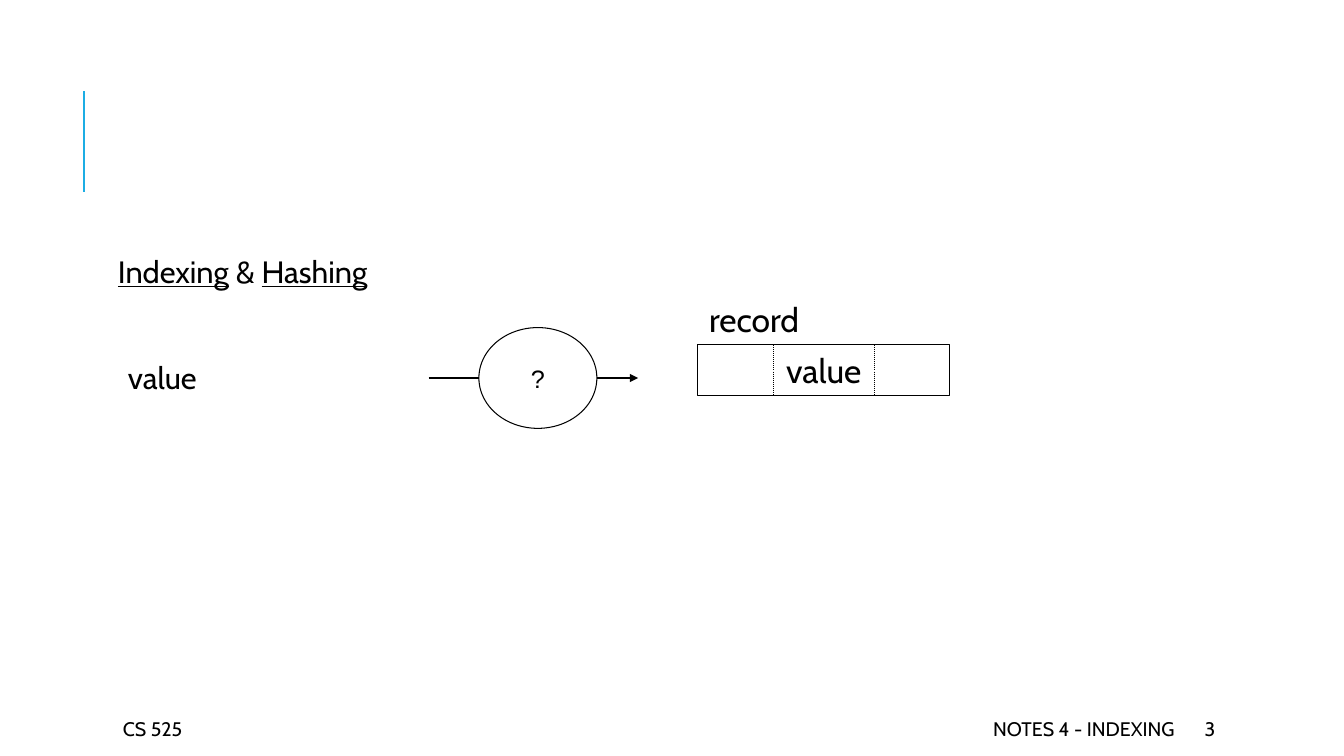
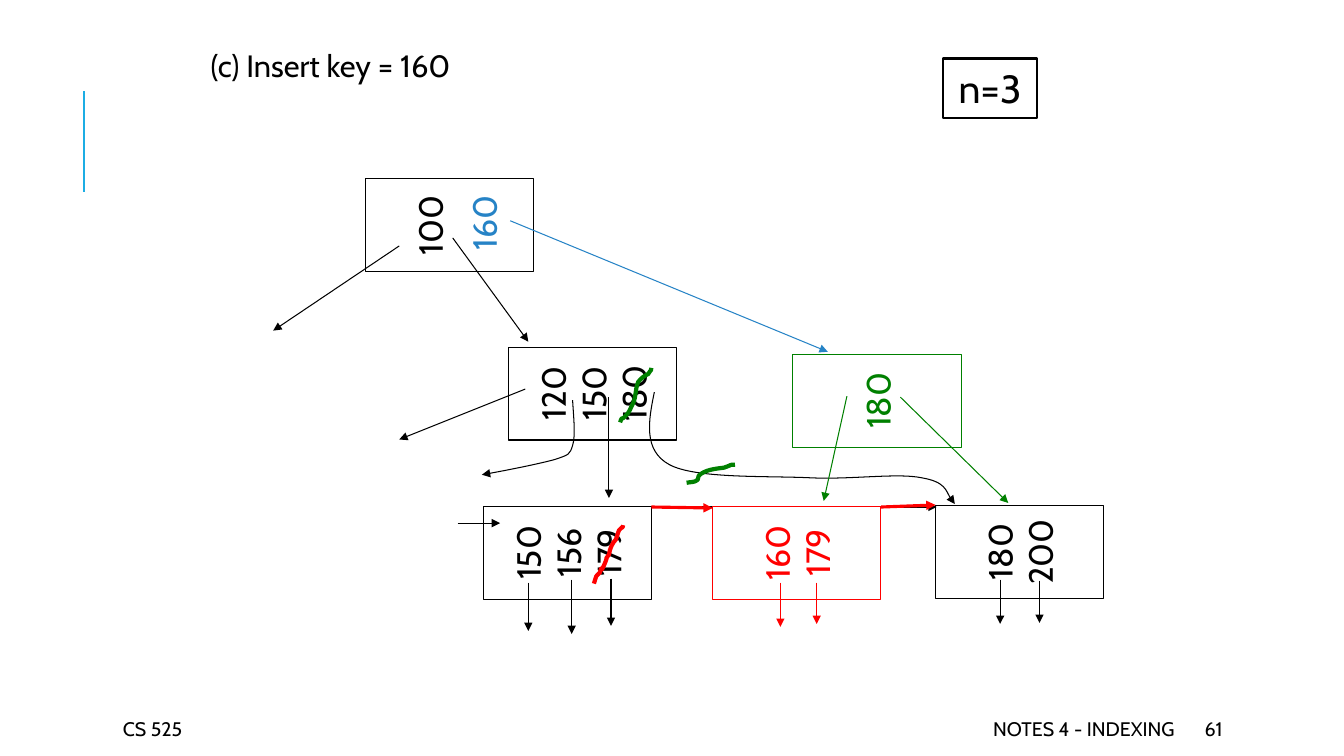
from dataclasses import dataclass

from pptx import Presentation
from pptx.dml.color import RGBColor
from pptx.enum.dml import MSO_LINE
from pptx.enum.shapes import MSO_CONNECTOR, MSO_SHAPE
from pptx.enum.text import MSO_ANCHOR, MSO_AUTO_SIZE, PP_ALIGN
from pptx.oxml.ns import qn
from pptx.oxml.xmlchemy import OxmlElement
from pptx.util import Emu, Pt

EMU_PER_PX = 9144
FONT = "Cabin"
BLACK, WHITE, ACCENT = "000000", "FFFFFF", "1CADE4"
BLUE, GREEN, RED = "2683C6", "008000", "FF0000"
TITLE_SIZE, KEY_SIZE, FOOTER_SIZE = 22, 24, 14
THIN, MEDIUM, THICK = 0.75, 2.25, 3
NODE_W, NODE_H = 92, 167


@dataclass
class Box:
    x: int
    y: int
    w: int
    h: int


@dataclass
class Node:
    x: int
    y: int
    keys: list[str]
    free_slots: int = 0


@dataclass
class Line:
    x1: int
    y1: int
    x2: int
    y2: int
    width: float = THIN
    arrow: bool = True
    dash: MSO_LINE | None = None


@dataclass
class Curve:
    points: list[tuple[int, int]]
    width: float = THICK
    arrow: bool = False


@dataclass
class Layer:
    color: str
    nodes: list[Node]
    lines: list[Line]
    curves: list[Curve]


def px(n: int) -> Emu:
    return Emu(n * EMU_PER_PX)


def rgb(value: str) -> RGBColor:
    return RGBColor.from_string(value)


def place(shape, box: Box) -> None:
    shape.left, shape.top = px(box.x), px(box.y)
    shape.width, shape.height = px(box.w), px(box.h)


def add_run(p, text: str, *, size: float = KEY_SIZE, color: str = BLACK,
            font: str = FONT, underline: bool = False) -> None:
    r = p.add_run()
    r.text = text
    r.font.size, r.font.name = Pt(size), font
    r.font.color.rgb = rgb(color)
    r.font.underline = underline


def write(tf, *texts: str, align=PP_ALIGN.CENTER, wrap: bool = False, **style) -> None:
    tf.word_wrap = wrap
    tf.vertical_anchor = MSO_ANCHOR.MIDDLE
    for i, text in enumerate(texts):
        p = tf.add_paragraph() if i else tf.paragraphs[0]
        p.alignment = align
        add_run(p, text, **style)


def add_label(s, box: Box, text: str, **style):
    sp = s.shapes.add_textbox(px(box.x), px(box.y), px(box.w), px(box.h))
    write(sp.text_frame, text, **style)
    return sp


def add_box(s, box: Box, *texts: str, kind=MSO_SHAPE.RECTANGLE, color: str = BLACK,
            width: float = THIN, **style):
    sp = s.shapes.add_shape(kind, px(box.x), px(box.y), px(box.w), px(box.h))
    sp.shadow.inherit = False
    sp.fill.solid()
    sp.fill.fore_color.rgb = rgb(WHITE)
    sp.line.color.rgb = rgb(color)
    sp.line.width = Pt(width)
    write(sp.text_frame, *texts, color=color, **style)
    return sp


def add_node(s, node: Node, color: str) -> None:
    sp = add_box(s, Box(node.x, node.y, NODE_W, NODE_H), *node.keys, color=color)
    sp.rotation = 270
    sp.text_frame.margin_bottom = px(5 + 40 * node.free_slots)


def style_line(shape, color: str, width: float, arrow: bool) -> None:
    shape.line.color.rgb = rgb(color)
    shape.line.width = Pt(width)
    if arrow:
        tail = OxmlElement("a:tailEnd")
        tail.set("type", "triangle")
        shape.element.spPr.find(qn("a:ln")).append(tail)


def add_line(s, line: Line, color: str = BLACK) -> None:
    c = s.shapes.add_connector(MSO_CONNECTOR.STRAIGHT, px(line.x1), px(line.y1),
                               px(line.x2), px(line.y2))
    if line.dash is not None:
        c.line.dash_style = line.dash
    style_line(c, color, line.width, line.arrow)
    c.element.spPr.append(OxmlElement("a:effectLst"))


def bend(shape) -> None:
    outline = next(shape.element.iter(qn("a:path")))
    segments = outline.findall(qn("a:lnTo"))
    for i in range(0, len(segments), 3):
        cubic = OxmlElement("a:cubicBezTo")
        for segment in segments[i:i + 3]:
            cubic.append(segment[0])
            outline.remove(segment)
        outline.append(cubic)


def add_curve(s, curve: Curve, color: str) -> None:
    x, y = curve.points[0]
    builder = s.shapes.build_freeform(x, y, scale=EMU_PER_PX)
    builder.add_line_segments(curve.points[1:], close=False)
    sp = builder.convert_to_shape()
    bend(sp)
    sp.shadow.inherit = False
    sp.fill.background()
    style_line(sp, color, curve.width, curve.arrow)


def add_layer(s, layer: Layer) -> None:
    for node in layer.nodes:
        add_node(s, node, layer.color)
    for line in layer.lines:
        add_line(s, line, layer.color)
    for curve in layer.curves:
        add_curve(s, curve, layer.color)


def add_slide(prs, number: str, title_box: Box, title: list[tuple[str, bool]]):
    s = prs.slides.add_slide(prs.slide_layouts[5])
    place(s.shapes.title, title_box)
    tf = s.shapes.title.text_frame
    tf.auto_size = MSO_AUTO_SIZE.NONE
    tf.word_wrap = True
    tf.vertical_anchor = MSO_ANCHOR.TOP
    tf.margin_left = tf.margin_right = tf.margin_top = tf.margin_bottom = px(5)
    p = tf.paragraphs[0]
    p.alignment = PP_ALIGN.LEFT
    p.line_spacing = 0.9
    for text, underline in title:
        add_run(p, text, size=TITLE_SIZE, underline=underline)

    add_line(s, Line(83, 190, 83, 90, 1.5, arrow=False), ACCENT)
    for x, w, text, align in (
        (112, 236, "CS 525", PP_ALIGN.LEFT),
        (530, 645, "NOTES 4 - INDEXING", PP_ALIGN.RIGHT),
        (1185, 106, number, PP_ALIGN.LEFT),
    ):
        add_label(s, Box(x, 708, w, 30), text, size=FOOTER_SIZE, align=align, wrap=True)
    return s


def build_lookup(prs) -> None:
    s = add_slide(prs, "3", Box(112, 250, 1063, 50),
                  [("Indexing", True), (" & ", False), ("Hashing", True)])
    add_label(s, Box(117, 352, 120, 44), "value", size=TITLE_SIZE,
              align=PP_ALIGN.LEFT, wrap=True)
    add_box(s, Box(475, 325, 117, 100), "?", kind=MSO_SHAPE.OVAL, size=18, font="Arial")
    add_line(s, Line(425, 375, 475, 375, arrow=False))
    add_line(s, Line(592, 375, 633, 375))
    add_box(s, Box(692, 342, 250, 50), "value")
    add_label(s, Box(691, 292, 114, 50), "record")
    for x in (767, 867):
        add_line(s, Line(x, 342, x, 392, arrow=False, dash=MSO_LINE.ROUND_DOT))


TREE = Layer(
    BLACK,
    [
        Node(400, 140, ["100"], free_slots=1),
        Node(542, 307, ["120", "150", "180"]),
        Node(517, 465, ["150", "156", "179"]),
        Node(965, 464, ["180", "200"]),
    ],
    [
        Line(396, 244, 271, 328),
        Line(449, 236, 524, 339),
        Line(521, 386, 396, 436),
        Line(454, 519, 496, 519),
        Line(604, 394, 604, 494),
        Line(646, 503, 929, 503),
        Line(524, 578, 524, 626),
        Line(567, 575, 567, 629),
        Line(606, 574, 606, 621),
        Line(992, 575, 992, 619),
        Line(1031, 576, 1031, 618),
    ],
    [
        Curve([(568, 397), (569, 415), (571, 432), (568, 442), (565, 451), (565, 451),
               (550, 456), (535, 460), (506, 466), (478, 471)], THIN, True),
        Curve([(649, 389), (643, 418), (638, 447), (664, 461), (690, 475), (761, 472),
               (803, 474), (844, 476), (890, 469), (914, 474), (938, 478), (942, 496),
               (947, 500)], THIN, True),
    ],
)
NEW_ROOT_POINTER = Layer(BLUE, [], [Line(506, 219, 821, 349)], [])
SPLIT_INNER = Layer(
    GREEN,
    [Node(824, 314, ["180"])],
    [Line(840, 393, 817, 497), Line(893, 394, 1000, 499)],
    [
        Curve([(681, 479), (684, 478), (689, 479), (692, 476), (693, 475), (692, 473),
               (693, 472), (699, 466), (710, 465), (718, 464), (727, 461), (723, 461),
               (729, 461)]),
        Curve([(615, 419), (618, 411), (615, 419), (621, 412), (624, 410), (626, 403),
               (628, 400), (631, 394), (630, 385), (633, 379), (636, 375), (639, 373),
               (643, 371), (646, 366), (646, 368), (646, 365)]),
    ],
)
SPLIT_LEAF = Layer(
    RED,
    [Node(744, 465, ["160", "179"])],
    [
        Line(646, 503, 707, 504, MEDIUM),
        Line(874, 503, 928, 501, MEDIUM),
        Line(774, 578, 774, 622),
        Line(810, 578, 810, 619),
    ],
    [
        Curve([(589, 579), (592, 570), (590, 573), (595, 568), (598, 557), (594, 572),
               (599, 561), (605, 547), (598, 559), (604, 550), (605, 544), (607, 539),
               (611, 535), (612, 532), (613, 528), (614, 526), (618, 521), (618, 525),
               (618, 521)]),
    ],
)


def build_insert(prs) -> None:
    s = add_slide(prs, "61", Box(204, 46, 476, 74), [("(c) Insert key = 160", False)])
    add_box(s, Box(935, 58, 94, 59), "n=3", width=1.5, size=28)
    add_layer(s, TREE)
    add_label(s, Box(442, 196, 75, 50), "160", color=BLUE).rotation = 270
    for layer in (NEW_ROOT_POINTER, SPLIT_INNER, SPLIT_LEAF):
        add_layer(s, layer)


def main() -> None:
    prs = Presentation()
    prs.slide_width, prs.slide_height = px(1333), px(750)
    build_lookup(prs)
    build_insert(prs)
    prs.save("out.pptx")


if __name__ == "__main__":
    main()
